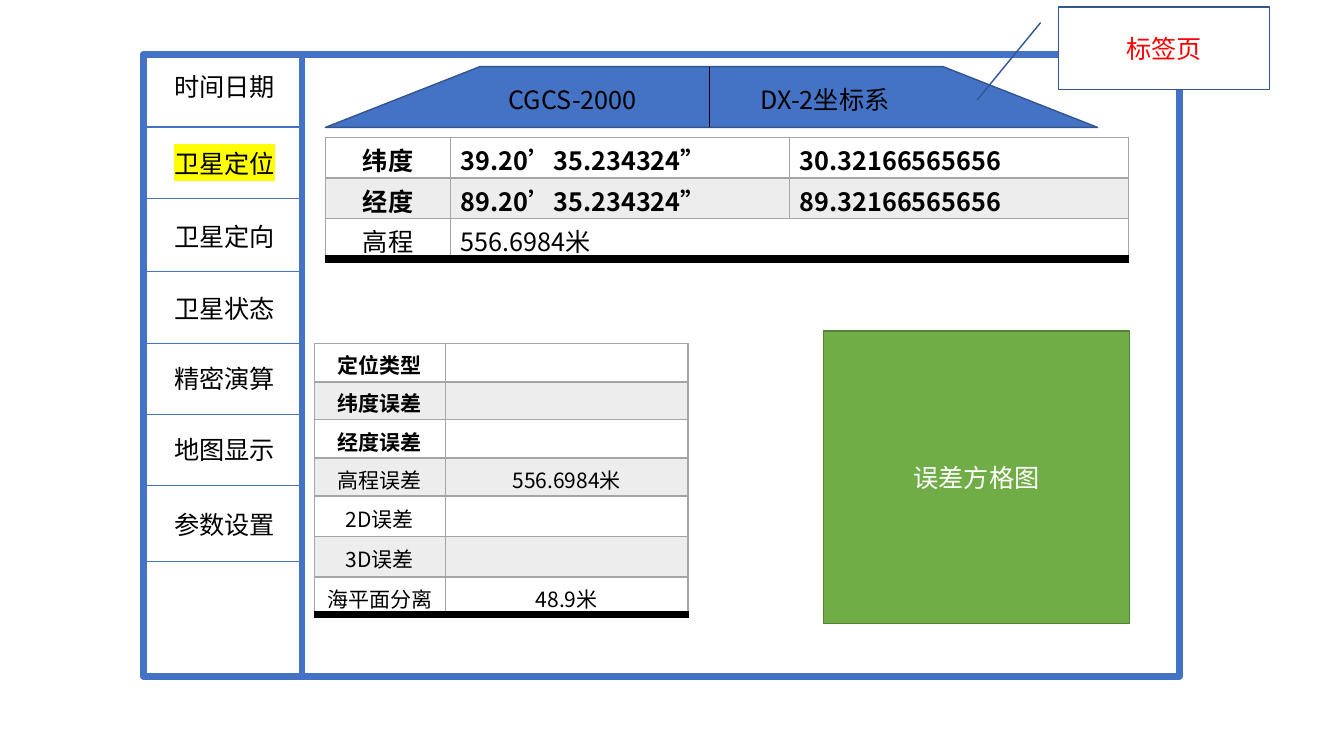
import pptx
import pptx.dml.color
import pptx.enum.lang
import pptx.enum.shapes
import pptx.enum.text
import pptx.oxml
import pptx.oxml.ns
import pptx.util

Cm = pptx.util.Cm
Pt = pptx.util.Pt
Shape = pptx.enum.shapes.MSO_SHAPE
Align = pptx.enum.text.PP_ALIGN
Anchor = pptx.enum.text.MSO_ANCHOR
NAMESPACE = pptx.oxml.ns.nsdecls("a")


class Theme:
    """Colours, font and type sizes of the slide."""
    font = "Noto Sans CJK SC"
    body, small = 18, 15
    blue, dark_blue = "4472C4", "325491"
    green, dark_green = "70AD47", "538035"
    black, white, red, yellow, grey = "000000", "FFFFFF", "FF0000", "FFFF00", "A5A5A5"
    band_alpha = 20000


def apply(target, values):
    """Set each named attribute on the target."""
    for name, value in values.items():
        setattr(target, name, value)


def rgb(colour):
    """Turn a hex string into a colour."""
    return pptx.dml.color.RGBColor.from_string(colour)


class PageBuilder:
    """Draws themed elements on one slide."""

    def __init__(self, page, theme):
        """Keep the slide and its style."""
        self.page = page
        self.theme = theme

    def add_span(self, para, text, size=None, colour=None, bold=False, align=Align.LEFT,
                 highlight=None):
        """Put one styled span into a paragraph."""
        para.alignment = align
        span = para.add_run()
        span.text = text
        apply(span.font, {
            "name": self.theme.font, "size": Pt(size or self.theme.body), "bold": bold,
            "language_id": pptx.enum.lang.MSO_LANGUAGE_ID.SIMPLIFIED_CHINESE,
        })
        span.font.color.rgb = rgb(colour or self.theme.black)
        latin = span.font._element.find(pptx.oxml.ns.qn("a:latin"))
        latin.addnext(pptx.oxml.parse_xml(f'<a:ea {NAMESPACE} typeface="{self.theme.font}"/>'))
        if highlight:
            latin.addprevious(pptx.oxml.parse_xml(
                f'<a:highlight {NAMESPACE}><a:srgbClr val="{highlight}"/></a:highlight>'))

    def shape(self, kind, place, fill, outline, weight=1, text=None, colour=None, rotation=0):
        """Add a filled preset shape with optional centred text."""
        shape = self.page.shapes.add_shape(kind, *map(Cm, place))
        shape.shadow.inherit = False
        shape.rotation = rotation
        shape.fill.solid()
        shape.fill.fore_color.rgb = rgb(fill)
        shape.line.color.rgb = rgb(outline)
        shape.line.width = Pt(weight)
        if text:
            apply(shape.text_frame, {"word_wrap": True, "vertical_anchor": Anchor.MIDDLE})
            self.add_span(shape.text_frame.paragraphs[0], text, colour=colour, align=Align.CENTER)

    def line(self, start, end, colour, weight=0.5):
        """Add a straight line."""
        line = self.page.shapes.add_connector(
            pptx.enum.shapes.MSO_CONNECTOR.STRAIGHT, *map(Cm, start + end))
        line.line.color.rgb = rgb(colour)
        line.line.width = Pt(weight)
        line._element.spPr.append(pptx.oxml.parse_xml(f"<a:effectLst {NAMESPACE}/>"))

    def label(self, text, left, top, width, highlight=None):
        """Add a one-line text box."""
        box = self.page.shapes.add_textbox(*map(Cm, (left, top, width, 1.02)))
        apply(box.text_frame, {
            "word_wrap": True, "auto_size": pptx.enum.text.MSO_AUTO_SIZE.SHAPE_TO_FIT_TEXT})
        self.add_span(box.text_frame.paragraphs[0], text, highlight=highlight)

    def style_cell(self, cell, banded, edges):
        """Give a cell its margins, fill and borders."""
        apply(cell, {"vertical_anchor": Anchor.MIDDLE, "margin_top": Cm(0.1), "margin_bottom": 0})
        if banded:
            cell.fill.solid()
            cell.fill.fore_color.rgb = rgb(self.theme.grey)
        else:
            cell.fill.background()
        properties = cell._tc.get_or_add_tcPr()
        for tint in properties.iter(pptx.oxml.ns.qn("a:srgbClr")):
            tint.append(pptx.oxml.parse_xml(
                f'<a:alpha {NAMESPACE} val="{self.theme.band_alpha}"/>'))
        for index, (side, (colour, weight)) in enumerate(edges.items()):
            properties.insert(index, pptx.oxml.parse_xml(
                f'<a:ln{side} {NAMESPACE} w="{Pt(weight)}"><a:solidFill>'
                f'<a:srgbClr val="{colour}"/></a:solidFill></a:ln{side}>'))

    def table(self, left, top, widths, heights, rows, size, bold_rows, value_align):
        """Add a banded table closed by a heavy rule."""
        frame = self.page.shapes.add_table(
            len(rows), len(widths), *map(Cm, (left, top, sum(widths), sum(heights))))
        table = frame.table
        apply(table, {"first_row": False, "horz_banding": False})
        for column, width in zip(table.columns, widths):
            column.width = Cm(width)
        thin = (self.theme.grey, 1)
        last = len(rows) - 1
        bottoms = {0: (self.theme.grey, 2), last: (self.theme.black, 6)}
        for r, texts in enumerate(rows):
            table.rows[r].height = Cm(heights[r])
            edges = {"L": thin, "R": thin, "T": thin, "B": bottoms.get(r, thin)}
            for c, text in enumerate(texts):
                cell = table.cell(r, c)
                self.style_cell(cell, r % 2 == 1, edges)
                para = cell.text_frame.paragraphs[0]
                if text:
                    self.add_span(para, text, size, bold=r < bold_rows,
                                  align=value_align if c else Align.CENTER)
                else:
                    para.font.size = Pt(size)
        return table


def main():
    """Build the satellite positioning screen."""
    deck = pptx.Presentation()
    apply(deck, {"slide_width": Cm(33.87), "slide_height": Cm(19.05)})
    theme = Theme()
    screen = PageBuilder(deck.slides.add_slide(deck.slide_layouts[6]), theme)

    left, top, bottom, divider = 3.61, 1.37, 17.04, 7.6
    screen.shape(Shape.RECTANGLE, (left, top, 26.11, bottom - top), theme.white, theme.blue, 5)
    screen.line((divider, top), (divider, bottom), theme.blue, 4.25)
    menu = [("时间日期", 1.68, 3.2), ("卫星定位", 3.61, 5.0), ("卫星定向", 5.44, 6.83),
            ("卫星状态", 7.26, 8.66), ("精密演算", 9.02, 10.44), ("地图显示", 10.82, 12.24),
            ("参数设置", 12.7, 14.15)]
    for index, (name, text_top, rule) in enumerate(menu):
        screen.line((left, rule), (divider, rule), theme.blue, 0.5 if index else 1.5)
        screen.label(name, 4.14, text_top, 3.15, theme.yellow if name == "卫星定位" else None)

    position = [("纬度", "39.20’35.234324”", "30.32166565656"),
                ("经度", "89.20’35.234324”", "89.32166565656"),
                ("高程", "556.6984米", "")]
    table = screen.table(8.2, 3.47, [3.16, 8.54, 8.54], [1.02] * 3, position,
                         theme.body, 2, Align.LEFT)
    table.cell(2, 1).merge(table.cell(2, 2))

    screen.shape(Shape.FLOWCHART_MANUAL_OPERATION, (8.2, 1.68, 19.46, 1.53),
                 theme.blue, theme.dark_blue, rotation=180)
    screen.line((17.88, 1.68), (17.88, 3.21), theme.black)
    screen.label("CGCS-2000", 12.57, 2.01, 3.81)
    screen.label("DX-2坐标系", 18.92, 2.01, 4.57)
    screen.shape(Shape.LINE_CALLOUT_1, (26.67, 0.18, 5.33, 2.08), theme.white,
                 theme.dark_blue, text="标签页", colour=theme.red)

    errors = [("定位类型", ""), ("纬度误差", ""), ("经度误差", ""), ("高程误差", "556.6984米"),
              ("2D误差", ""), ("3D误差", ""), ("海平面分离", "48.9米")]
    screen.table(7.92, 8.66, [3.3, 6.12], [0.96] * 4 + [1.02] * 2 + [0.95], errors,
                 theme.small, 3, Align.CENTER)
    screen.shape(Shape.RECTANGLE, (20.76, 8.34, 7.7, 7.38), theme.green, theme.dark_green,
                 text="误差方格图", colour=theme.white)
    deck.save("out.pptx")


if __name__ == "__main__":
    main()
